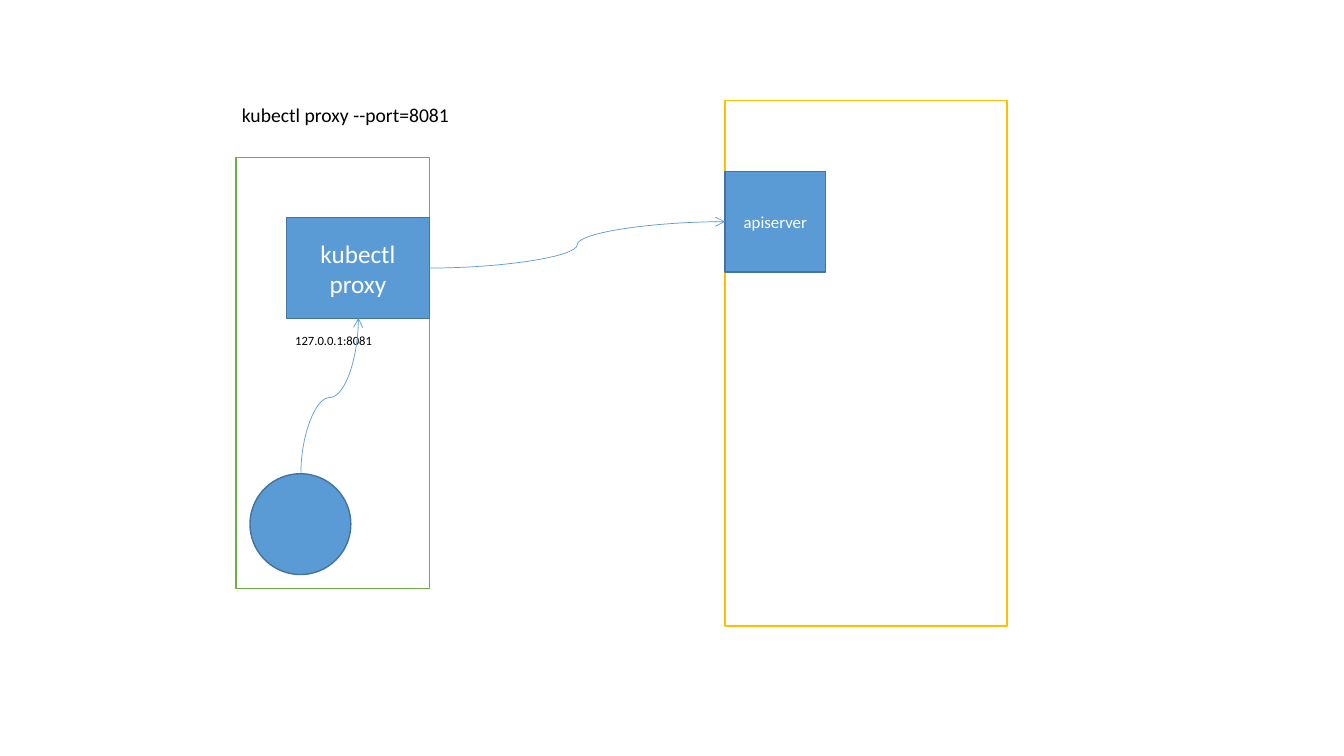
from pptx import Presentation
from pptx.dml.color import RGBColor
from pptx.enum.shapes import MSO_CONNECTOR, MSO_SHAPE
from pptx.enum.text import MSO_ANCHOR, PP_ALIGN
from pptx.oxml.ns import qn
from pptx.util import Inches, Pt
from lxml import etree

RECTANGLE, OVAL = MSO_SHAPE.RECTANGLE, MSO_SHAPE.OVAL
CURVE = MSO_CONNECTOR.CURVE
MIDDLE = MSO_ANCHOR.MIDDLE
LEFT, CENTER = PP_ALIGN.LEFT, PP_ALIGN.CENTER
TOP_SIDE, LEFT_SIDE, BOTTOM_SIDE, RIGHT_SIDE = range(4)
BLUE, DARK_BLUE = "5B9BD5", "43739E"


def color(value):
    return RGBColor.from_string(value)


def write(box, text, size, ink, align):
    box.text_frame.word_wrap = True
    para = box.text_frame.paragraphs[0]
    para.alignment = align
    span = para.add_run()
    span.text = text
    span.font.name = "Calibri"
    span.font.size = Pt(size)
    span.font.color.rgb = color(ink)


deck = Presentation()
deck.slide_width, deck.slide_height = Inches(13.33), Inches(7.5)
page = deck.slides.add_slide(deck.slide_layouts[6])

# Client and cluster frames, and the parts inside them
shapes = {}
for name, kind, bounds, fill, outline, text, size in [
    ("client", RECTANGLE, (2.34, 1.56, 1.92, 4.28), "FFFFFF", "70AD47", "", 0),
    ("cluster", RECTANGLE, (7.19, 1, 2.8, 5.21), "FFFFFF", "FFC000", "", 0),
    ("apiserver", RECTANGLE, (7.19, 1.7, 1, 1), BLUE, DARK_BLUE, "apiserver", 12),
    ("proxy", RECTANGLE, (2.84, 2.16, 1.42, 1), BLUE, DARK_BLUE, "kubectl proxy", 18),
    ("caller", OVAL, (2.48, 4.7, 1, 1), BLUE, DARK_BLUE, "", 0),
]:
    box = page.shapes.add_shape(kind, *map(Inches, bounds))
    box.shadow.inherit = False
    box.fill.solid()
    box.fill.fore_color.rgb = color(fill)
    box.line.color.rgb = color(outline)
    box.line.width = Pt(1)
    if text:
        box.text_frame.vertical_anchor = MIDDLE
        write(box, text, size, "FFFFFF", CENTER)
    shapes[name] = box

# Command and address labels
for text, size, bounds in [
    ("127.0.0.1:8081", 9, (2.83, 3.25, 1.36, 0.25)),
    ("kubectl proxy --port=8081", 14, (2.3, 0.97, 4.1, 0.34)),
]:
    label = page.shapes.add_textbox(*map(Inches, bounds))
    write(label, text, size, "000000", LEFT)

# Request flow: caller to proxy, proxy to apiserver
arrows = []
for source, source_side, target, target_side in [
    ("caller", TOP_SIDE, "proxy", BOTTOM_SIDE),
    ("proxy", RIGHT_SIDE, "apiserver", LEFT_SIDE),
]:
    arrow = page.shapes.add_connector(CURVE, 0, 0, Inches(1), Inches(1))
    arrow.begin_connect(shapes[source], source_side)
    arrow.end_connect(shapes[target], target_side)
    arrow.line.color.rgb = color(BLUE)
    arrow.line.width = Pt(0.5)
    etree.SubElement(arrow.line._get_or_add_ln(), qn("a:tailEnd"), type="arrow")
    etree.SubElement(arrow._element.spPr, qn("a:effectLst"))
    arrows.append(arrow)

# The upward arrow is a sideways curve turned by 270 degrees
upward = arrows[0]
frame = upward._element.spPr.find(qn("a:xfrm"))
for flip in ("flipH", "flipV"):
    frame.attrib.pop(flip, None)
frame.set("rot", str(270 * 60000))
upward.left, upward.top = Inches(2.5), Inches(3.64)
upward.width, upward.height = Inches(1.54), Inches(0.57)
bends = upward._element.spPr.find(qn("a:prstGeom")).find(qn("a:avLst"))
etree.SubElement(bends, qn("a:gd"), name="adj1", fmla="val 48800")

deck.save("out.pptx")
